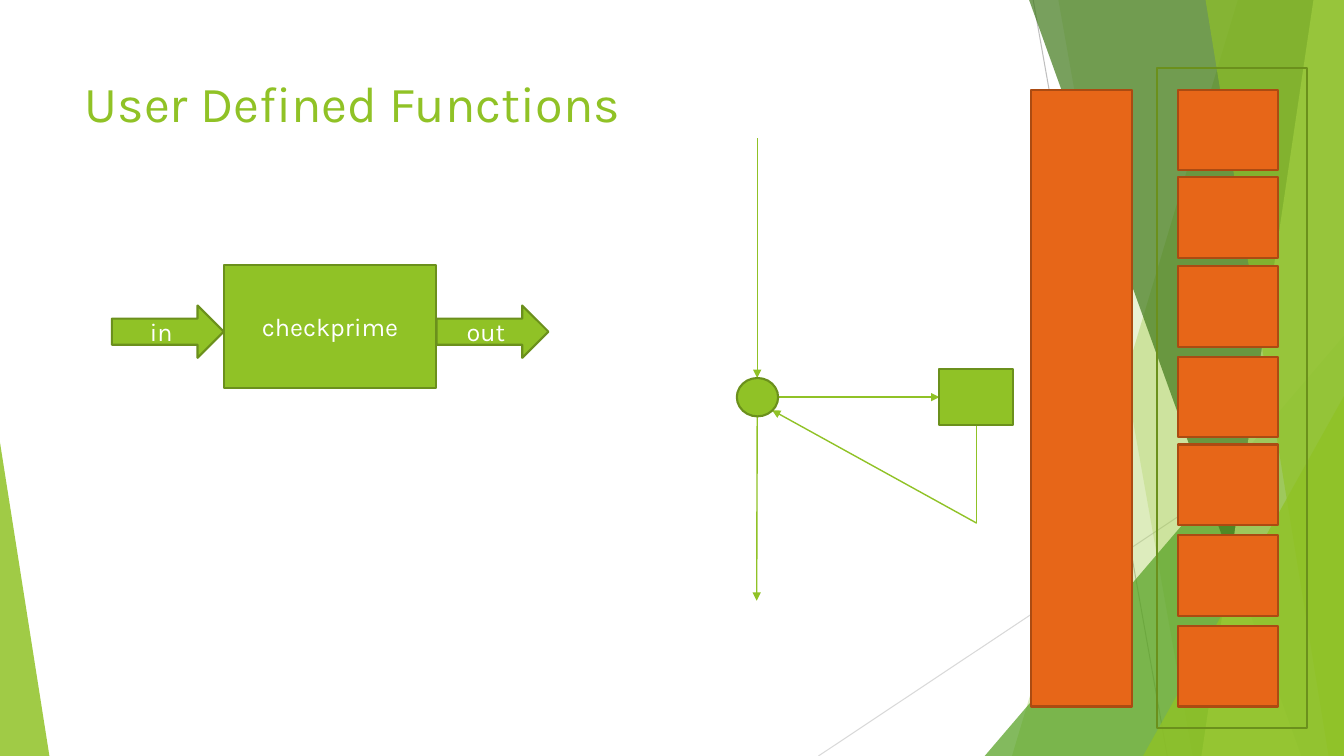
from typing import NamedTuple, Optional

from lxml.etree import SubElement
from pptx import Presentation
from pptx.dml.color import RGBColor
from pptx.enum.shapes import MSO_CONNECTOR, MSO_SHAPE as SHAPE
from pptx.enum.text import MSO_ANCHOR, PP_ALIGN
from pptx.oxml.ns import qn
from pptx.util import Pt

GREEN = RGBColor(0x90, 0xC2, 0x26)
GREEN_EDGE = RGBColor(0x6B, 0x90, 0x1C)
MID_GREEN = RGBColor(0x54, 0xA0, 0x21)
DARK_GREEN = RGBColor(0x3F, 0x78, 0x19)
PALE_GREEN = RGBColor(0xC0, 0xE4, 0x74)
ORANGE = RGBColor(0xE7, 0x66, 0x18)
ORANGE_EDGE = RGBColor(0xAB, 0x4B, 0x12)
GREY = RGBColor(0xBF, 0xBF, 0xBF)
LIGHT_GREY = RGBColor(0xD9, 0xD9, 0xD9)
WHITE = RGBColor(0xFF, 0xFF, 0xFF)
FONT = "Karla"
WIDTH, HEIGHT = 960, 540


class Band(NamedTuple):
    top_x: float
    bottom_x: float
    color: RGBColor
    alpha: int


class Triangle(NamedTuple):
    x: float
    y: float
    w: float
    h: float
    apex: float
    color: RGBColor
    alpha: int


class Line(NamedTuple):
    x1: float
    y1: float
    x2: float
    y2: float
    color: RGBColor = GREEN
    weight: float = 1
    arrow: bool = True


class Box(NamedTuple):
    kind: SHAPE
    x: float
    y: float
    w: float
    h: float
    fill: Optional[RGBColor] = GREEN
    edge: RGBColor = GREEN_EDGE
    text: str = ""


RAYS = [
    Line(738, 0, 833.8, HEIGHT, GREY, 0.75, False),
    Line(WIDTH, 290.2, 584.6, HEIGHT, LIGHT_GREY, 0.75, False),
]
BACKDROP = [
    Band(884.2, 722.9, GREEN, 30),
    Band(756, 851.8, GREEN, 20),
    Triangle(703.4, 239.8, 256.6, 300.2, 1, MID_GREEN, 72),
    Band(735.1, 929.5, DARK_GREEN, 70),
    Band(938.2, 858.2, PALE_GREEN, 70),
    Band(861.1, 949, GREEN, 65),
    Triangle(816.5, 283, 143.5, 257, 1, GREEN, 80),
    Triangle(0, 316.1, 35.3, 223.9, 0, GREEN, 85),
]
FLOW_LINES = [
    Line(540.9, 98.6, 540.9, 270),
    Line(556, 283.7, 671, 283.7),
    Line(697.7, 303.8, 697.7, 373.7, arrow=False),
    Line(697.7, 373.7, 551.5, 293),
    Line(540.9, 297.4, 540.5, 429.1),
]
CELL_X, CELL_W, CELL_H = 841.2, 72, 57.6
CELL_TOPS = [64.1, 126.7, 190.1, 254.9, 317.5, 382.3, 447.1]
BOXES = [
    Box(SHAPE.RECTANGLE, 159.8, 189.4, 151.9, 87.8, text="checkprime"),
    Box(SHAPE.RIGHT_ARROW, 79.9, 218.2, 79.9, 37.4, text="in"),
    Box(SHAPE.RIGHT_ARROW, 311.8, 218.2, 79.9, 37.4, text="out"),
    Box(SHAPE.OVAL, 526.3, 270, 29.5, 27.4),
    Box(SHAPE.RECTANGLE, 670.7, 263.5, 53.2, 40),
    Box(SHAPE.RECTANGLE, 736.6, 64.1, 72, 440.6, ORANGE, ORANGE_EDGE),
    *(Box(SHAPE.RECTANGLE, CELL_X, top, CELL_W, CELL_H, ORANGE, ORANGE_EDGE)
      for top in CELL_TOPS),
    Box(SHAPE.RECTANGLE, 826.6, 48.6, 107.3, 471.2, None),
]


def tint(sp, color: RGBColor, alpha: int) -> None:
    sp.shadow.inherit = False
    sp.line.fill.background()
    sp.fill.solid()
    sp.fill.fore_color.rgb = color
    clr = sp._element.spPr.find(qn("a:solidFill")).find(qn("a:srgbClr"))
    SubElement(clr, qn("a:alpha"), val=str(alpha * 1000))


def draw_band(slide, band: Band) -> None:
    builder = slide.shapes.build_freeform(Pt(band.top_x), 0)
    corners = [(WIDTH, 0), (WIDTH, HEIGHT), (band.bottom_x, HEIGHT)]
    builder.add_line_segments([(Pt(x), Pt(y)) for x, y in corners], close=True)
    tint(builder.convert_to_shape(), band.color, band.alpha)


def draw_triangle(slide, t: Triangle) -> None:
    sp = slide.shapes.add_shape(SHAPE.ISOSCELES_TRIANGLE, Pt(t.x), Pt(t.y), Pt(t.w), Pt(t.h))
    sp.adjustments[0] = t.apex
    tint(sp, t.color, t.alpha)


def draw_line(slide, line: Line) -> None:
    cxn = slide.shapes.add_connector(
        MSO_CONNECTOR.STRAIGHT, Pt(line.x1), Pt(line.y1), Pt(line.x2), Pt(line.y2))
    cxn.line.color.rgb = line.color
    cxn.line.width = Pt(line.weight)
    spPr = cxn._element.spPr
    if line.arrow:
        SubElement(spPr.find(qn("a:ln")), qn("a:tailEnd"), type="triangle")
    SubElement(spPr, qn("a:effectLst"))


def draw_box(slide, box: Box) -> None:
    sp = slide.shapes.add_shape(box.kind, Pt(box.x), Pt(box.y), Pt(box.w), Pt(box.h))
    sp.shadow.inherit = False
    if box.fill is None:
        sp.fill.background()
    else:
        sp.fill.solid()
        sp.fill.fore_color.rgb = box.fill
    sp.line.color.rgb = box.edge
    sp.line.width = Pt(1.5)
    if box.text:
        tf = sp.text_frame
        tf.vertical_anchor = MSO_ANCHOR.MIDDLE
        p = tf.paragraphs[0]
        p.text = box.text
        p.alignment = PP_ALIGN.CENTER
        style(p, 18, WHITE)


def style(p, size: float, color: RGBColor) -> None:
    p.font.name = FONT
    p.font.size = Pt(size)
    p.font.color.rgb = color


def set_title(slide, text: str) -> None:
    title = slide.shapes.title
    title.left, title.top, title.width, title.height = Pt(53.3), Pt(48), Pt(676.8), Pt(104)
    tf = title.text_frame
    tf.word_wrap = True
    tf.vertical_anchor = MSO_ANCHOR.TOP
    p = tf.paragraphs[0]
    p.text = text
    p.alignment = PP_ALIGN.LEFT
    style(p, 36, GREEN)


def main() -> None:
    prs = Presentation()
    prs.slide_width, prs.slide_height = Pt(WIDTH), Pt(HEIGHT)
    slide = prs.slides.add_slide(prs.slide_layouts[5])
    for ray in RAYS:
        draw_line(slide, ray)
    for part in BACKDROP:
        if isinstance(part, Band):
            draw_band(slide, part)
        else:
            draw_triangle(slide, part)
    set_title(slide, "User Defined Functions")
    for line in FLOW_LINES:
        draw_line(slide, line)
    for box in BOXES:
        draw_box(slide, box)
    prs.save("out.pptx")


if __name__ == "__main__":
    main()
